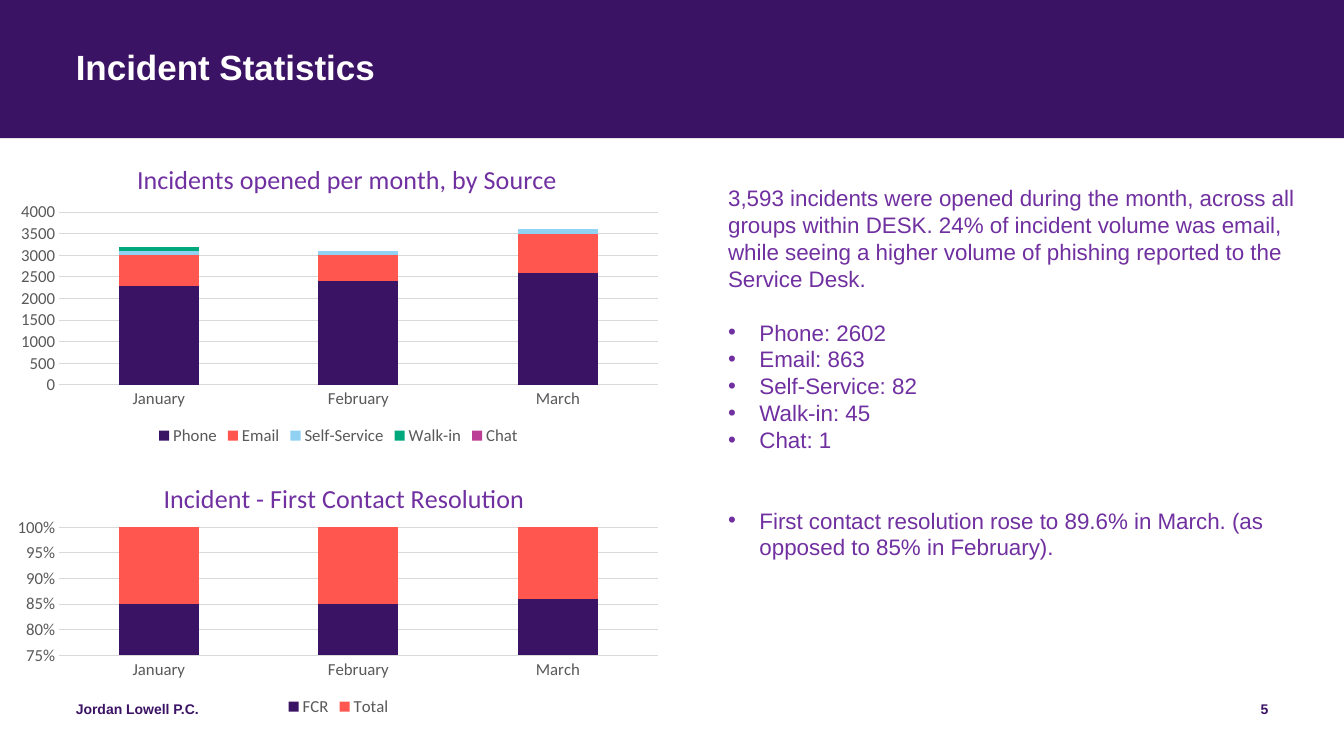
from lxml import etree
from pptx import Presentation
from pptx.chart import data
from pptx.dml import color
from pptx.enum import chart as kinds, shapes, text
from pptx.oxml import ns
from pptx.util import Cm, Pt

COLOURS = {
    "plum": "3B1365", "coral": "FF5750", "sky": "91D2F2", "green": "00A87E",
    "magenta": "BC3D95", "violet": "7030A0", "grey": "595959",
    "grid": "D9D9D9", "white": "FFFFFF",
}
SERIES_COLOURS = ["plum", "coral", "sky", "green", "magenta"]
MONTHS = ["January", "February", "March"]
SOURCES = {
    "Phone": [2300, 2400, 2600],
    "Email": [700, 600, 900],
    "Self-Service": [100, 100, 100],
    "Walk-in": [100, 0, 0],
    "Chat": [0, 0, 0],
}
RESOLUTION = {"FCR": [85, 85, 86], "Total": [15, 15, 14]}
SUMMARY = (
    "3,593 incidents were opened during the month, across all groups within "
    "DESK. 24% of incident volume was email, while seeing a higher volume of "
    "phishing reported to the Service Desk."
)
COUNTS = ["Phone: 2602", "Email: 863", "Self-Service: 82", "Walk-in: 45", "Chat: 1"]
FIRST_CONTACT = (
    "First contact resolution rose to 89.6% in March. "
    "(as opposed to 85% in February)."
)
LINE = 19.2


def rgb(name):
    """Return the named colour."""
    return color.RGBColor.from_string(COLOURS[name])


def style(font, size, colour, name="Arial", bold=False):
    """Set the look of a font."""
    font.size, font.name, font.bold = Pt(size), name, bold
    font.color.rgb = rgb(colour)


def clear_insets(frame):
    """Remove the inner margins of a text frame."""
    frame.margin_left = frame.margin_right = 0
    frame.margin_top = frame.margin_bottom = 0


def add_header(page, left, top, width, height):
    """Draw the header band and the title inside it."""
    band = page.shapes.add_shape(
        shapes.MSO_SHAPE.RECTANGLE, left, top, width, height)
    band.shadow.inherit = False
    band.fill.solid()
    band.fill.fore_color.rgb = rgb("plum")
    band.line.fill.background()
    title = page.shapes.title
    band._element.getparent().insert(2, band._element)
    title.left, title.top = left + Cm(1.91), top + Cm(1.27)
    title.width, title.height = width - Cm(3.82), height - Cm(1.42)
    frame = title.text_frame
    clear_insets(frame)
    frame.word_wrap = True
    frame.auto_size = text.MSO_AUTO_SIZE.NONE
    frame.vertical_anchor = text.MSO_ANCHOR.TOP
    para = frame.paragraphs[0]
    para.text = "Incident Statistics"
    para.alignment = text.PP_ALIGN.LEFT
    para.line_spacing = 0.9
    style(para.font, 25, "white", bold=True)


def set_layout(parent, position, **settings):
    """Place a part of a chart by fractions of the chart."""
    for old in parent.findall(ns.qn("c:layout")):
        parent.remove(old)
    layout = etree.Element(ns.qn("c:layout"))
    manual = etree.SubElement(layout, ns.qn("c:manualLayout"))
    for tag, value in settings.items():
        etree.SubElement(manual, ns.qn(f"c:{tag}")).set("val", str(value))
    parent.insert(position, layout)


def add_column_chart(page, box, kind, heading, spot, values, area, scale, pattern):
    """Draw a stacked column chart in the given box."""
    chart_data = data.CategoryChartData()
    chart_data.categories = MONTHS
    for name, numbers in values.items():
        chart_data.add_series(name, numbers)
    chart = page.shapes.add_chart(kind, *box, chart_data).chart
    style(chart.font, 12, "grey", "Calibri")
    chart.has_title = True
    para = chart.chart_title.text_frame.paragraphs[0]
    para.text = heading
    style(para.font, 18.6, "violet", "Calibri")
    chart.chart_title.include_in_layout = False
    set_layout(chart.chart_title._element, 1,
               xMode="edge", yMode="edge", x=spot[0], y=spot[1])
    chart.has_legend = True
    chart.legend.position = kinds.XL_LEGEND_POSITION.BOTTOM
    chart.legend.include_in_layout = False
    style(chart.legend.font, 12, "grey", "Calibri")
    plot = chart.plots[0]
    plot.gap_width, plot.overlap, plot.vary_by_categories = 150, 100, False
    for series, colour in zip(plot.series, SERIES_COLOURS):
        series.format.fill.solid()
        series.format.fill.fore_color.rgb = rgb(colour)
    months, amounts = chart.category_axis, chart.value_axis
    for axis in (months, amounts):
        axis.major_tick_mark = axis.minor_tick_mark = kinds.XL_TICK_MARK.NONE
        style(axis.tick_labels.font, 12, "grey", "Calibri")
    amounts.has_major_gridlines = True
    for line in (months.format.line, amounts.major_gridlines.format.line):
        line.color.rgb = rgb("grid")
        line.width = Pt(0.75)
    amounts.format.line.fill.background()
    amounts.minimum_scale, amounts.maximum_scale, amounts.major_unit = scale
    amounts.tick_labels.number_format = pattern
    amounts.tick_labels.number_format_is_linked = False
    x, y, w, h = area
    set_layout(chart._chartSpace.chart.plotArea, 0, layoutTarget="inner",
               xMode="edge", yMode="edge", x=x, y=y, w=w, h=h)


def add_bullet(para):
    """Give a paragraph a hanging round bullet."""
    props = para._p.get_or_add_pPr()
    props.set("marL", str(Cm(0.79)))
    props.set("indent", str(-Cm(0.79)))
    etree.SubElement(props, ns.qn("a:buFont")).set("typeface", "Arial")
    etree.SubElement(props, ns.qn("a:buChar")).set("char", "•")


def add_commentary(page, left, top, width, height):
    """Write the summary and its bullets."""
    frame = page.shapes.add_textbox(left, top, width, height).text_frame
    frame.word_wrap = True
    lines = [SUMMARY, *COUNTS, FIRST_CONTACT]
    gaps = {1: LINE, len(lines) - 1: 2 * LINE}
    for index, line in enumerate(lines):
        para = frame.add_paragraph() if index else frame.paragraphs[0]
        para.text = line
        if index:
            add_bullet(para)
        para.line_spacing = Pt(LINE)
        para.space_before = Pt(gaps.get(index, 0))
        style(para.font, 16, "violet")


def add_footer(page, left, top, width, height):
    """Write the firm name and the page number at the two ends."""
    half = width // 2
    parts = [("Jordan Lowell P.C.", left, text.PP_ALIGN.LEFT),
             ("5", left + half, text.PP_ALIGN.RIGHT)]
    for words, start, alignment in parts:
        frame = page.shapes.add_textbox(start, top, half, height).text_frame
        clear_insets(frame)
        frame.word_wrap = True
        para = frame.paragraphs[0]
        para.text = words
        para.alignment = alignment
        style(para.font, 10, "plum", bold=True)


def main():
    """Build the slide and save it."""
    deck = Presentation()
    deck.slide_width, deck.slide_height = Cm(33.87), Cm(19.05)
    page = deck.slides.add_slide(deck.slide_layouts[5])
    add_header(page, 0, 0, deck.slide_width, Cm(3.48))
    add_column_chart(
        page, (Cm(0.15), Cm(3.56), Cm(16.76), Cm(7.77)),
        kinds.XL_CHART_TYPE.COLUMN_STACKED,
        "Incidents opened per month, by Source", (0.19, 0.05), SOURCES,
        (0.08, 0.23, 0.9, 0.56), (0, 4000, 500), "0")
    add_commentary(page, Cm(18.1), Cm(4.52), Cm(15.62), Cm(12.57))
    add_column_chart(
        page, (Cm(0.15), Cm(11.58), Cm(16.76), Cm(6.58)),
        kinds.XL_CHART_TYPE.COLUMN_STACKED_100,
        "Incident - First Contact Resolution", (0.23, 0.06), RESOLUTION,
        (0.08, 0.26, 0.9, 0.49), (0.75, 1, 0.05), "0%")
    add_footer(page, Cm(1.91), Cm(17.65), Cm(30.05), Cm(1.02))
    deck.save("out.pptx")


if __name__ == "__main__":
    main()
